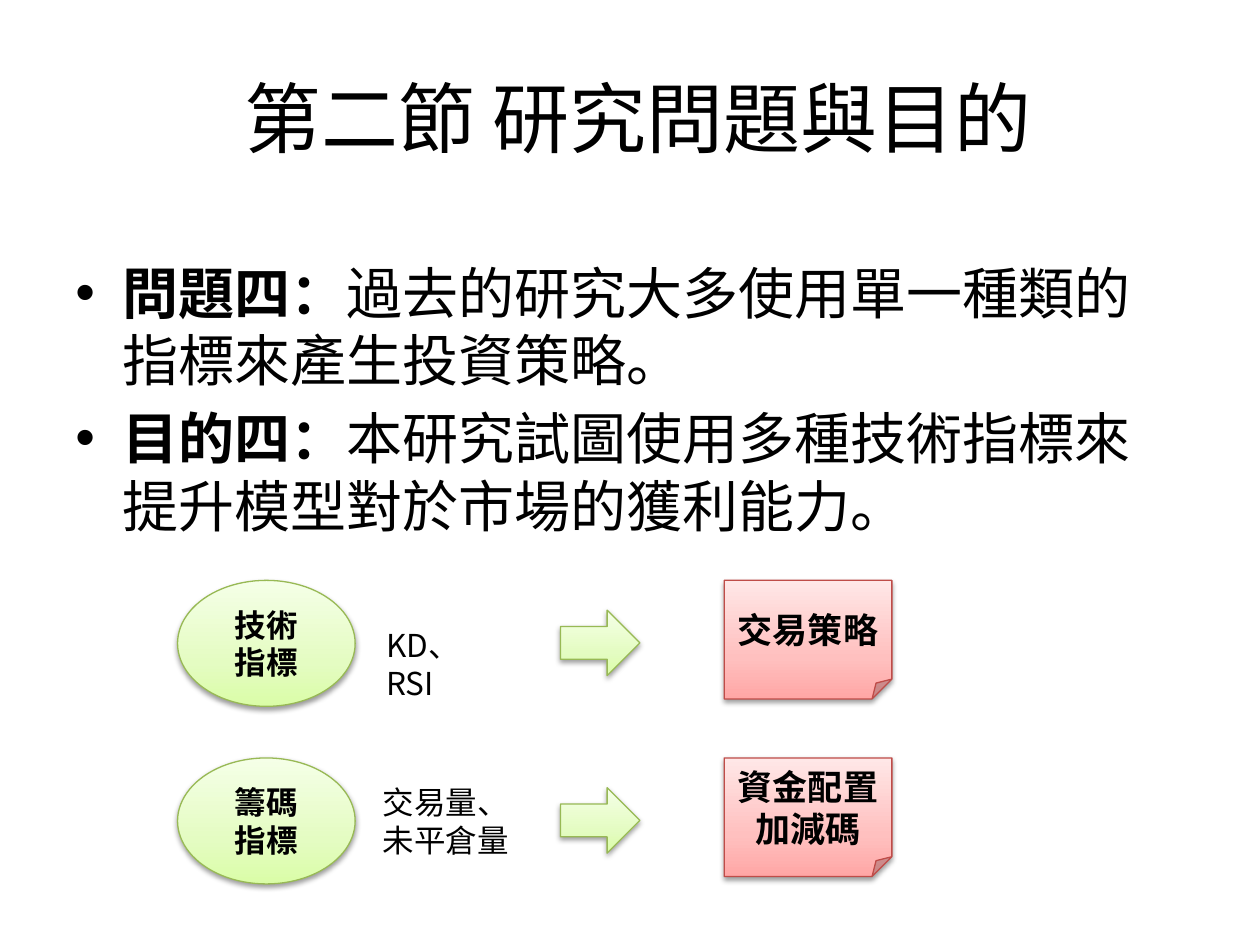
from lxml import etree
from pptx import Presentation
from pptx.dml.color import RGBColor
from pptx.enum.shapes import MSO_SHAPE
from pptx.enum.text import MSO_ANCHOR, PP_ALIGN
from pptx.oxml.ns import qn
from pptx.util import Cm, Pt

OVAL, ARROW, NOTE = MSO_SHAPE.OVAL, MSO_SHAPE.RIGHT_ARROW, MSO_SHAPE.FOLDED_CORNER
MIDDLE, TOP = MSO_ANCHOR.MIDDLE, MSO_ANCHOR.TOP
CENTER, LEFT = PP_ALIGN.CENTER, PP_ALIGN.LEFT
FONT = "Noto Sans CJK SC"
COLORS = {"text": "000000", "green_line": "98B955", "red_line": "BF4C48"}
GRADIENTS = {
    "green": {0: "DAFDA7", 35: "E4FCC2", 100: "F5FFE7"},
    "red": {0: "FFA6A5", 35: "FFC0BF", 100: "FFE7E7"},
}


def write(box, paragraphs, size, align=LEFT, anchor=TOP):
    frame = box.text_frame
    frame.word_wrap = True
    frame.vertical_anchor = anchor
    for index, runs in enumerate(paragraphs):
        para = frame.paragraphs[0] if index == 0 else frame.add_paragraph()
        para.alignment = align
        for text, bold in runs:
            span = para.add_run()
            span.text = text
            span.font.size = Pt(size)
            span.font.bold = bold
            span.font.name = FONT
            span.font.color.rgb = RGBColor.from_string(COLORS["text"])
            etree.SubElement(span.font._element, qn("a:ea"), typeface=FONT)


def add_figure(kind, tone, left, top, width, height):
    shape = page.shapes.add_shape(kind, Cm(left), Cm(top), Cm(width), Cm(height))
    shape.fill.gradient()
    shape.fill.gradient_angle = 90
    stops = shape._element.spPr.find(".//" + qn("a:gsLst"))
    stops.clear()
    for position, color in GRADIENTS[tone].items():
        stop = etree.SubElement(stops, qn("a:gs"), pos=str(position * 1000))
        etree.SubElement(stop, qn("a:srgbClr"), val=color)
    shape.line.color.rgb = RGBColor.from_string(COLORS[tone + "_line"])
    shape.line.width = Pt(0.75)
    shape.shadow.inherit = False
    effects = shape._element.spPr.find(qn("a:effectLst"))
    shadow = etree.SubElement(effects, qn("a:outerShdw"), blurRad=str(Pt(3.1)),
                              dist=str(Pt(1.6)), dir="5400000", rotWithShape="0")
    shade = etree.SubElement(shadow, qn("a:srgbClr"), val=COLORS["text"])
    etree.SubElement(shade, qn("a:alpha"), val="38000")
    return shape


deck = Presentation()
deck.slide_width, deck.slide_height = Cm(25.4), Cm(19.05)
page = deck.slides.add_slide(deck.slide_layouts[5])

title = page.shapes.title
title.left, title.top, title.width, title.height = Cm(1.27), Cm(0.76), Cm(22.86), Cm(3.18)
write(title, [[(" 第二節 研究問題與目的", False)]], 44, CENTER, MIDDLE)

body = page.shapes.add_textbox(Cm(1.27), Cm(5.08), Cm(22.86), Cm(12.57))
write(body, [
    [("問題四：", True), ("過去的研究大多使用單一種類的指標來產生投資策略。", False)],
    [("目的四：", True), ("本研究試圖使用多種技術指標來提升模型對於市場的獲利能力。", False)],
], 32)
for para in body.text_frame.paragraphs:
    para.space_before = Pt(6.4)
    props = para._p.get_or_add_pPr()
    props.set("marL", str(Cm(0.95)))
    props.set("indent", str(Cm(-0.95)))
    etree.SubElement(props, qn("a:buFont"), typeface="Arial")
    etree.SubElement(props, qn("a:buChar"), char="•")

rows = [
    (11.7, ["技術", "指標"], ["KD、RSI"], ["交易策略"], (7.54, 12.5, 2.77, 1.02)),
    (15.28, ["籌碼", "指標"], ["交易量、", "未平倉量"], ["資金配置", "加減碼"],
     (7.47, 15.67, 3.07, 1.8)),
]
for top, indicator, examples, result, example_place in rows:
    oval = add_figure(OVAL, "green", 3.58, top, 3.58, 2.54)
    write(oval, [[(line, True)] for line in indicator], 18, CENTER, MIDDLE)
    add_figure(ARROW, "green", 11.3, top + 0.6, 1.6, 1.32)
    note = add_figure(NOTE, "red", 14.6, top, 3.38, 2.39)
    write(note, [[(line, True)] for line in result], 20, CENTER, MIDDLE)
    label = page.shapes.add_textbox(*map(Cm, example_place))
    write(label, [[(line, False)] for line in examples], 18)

deck.save("out.pptx")
